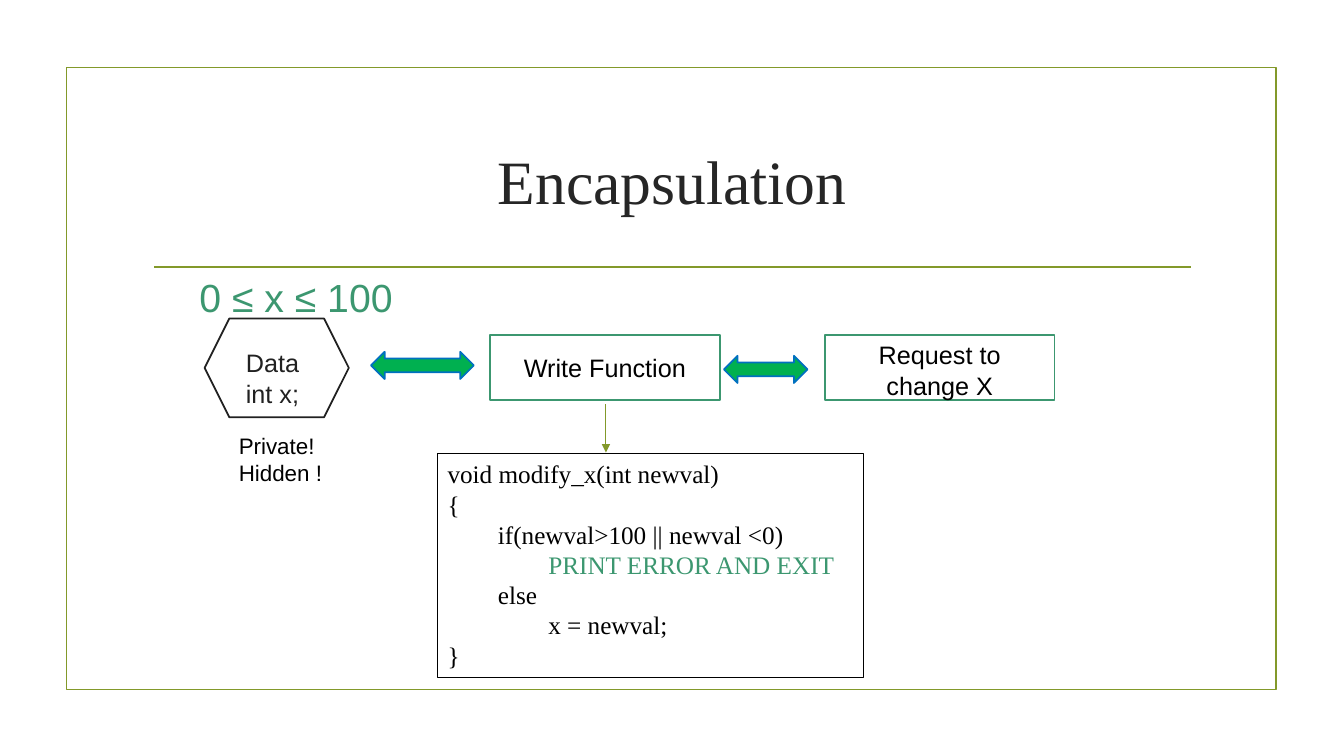
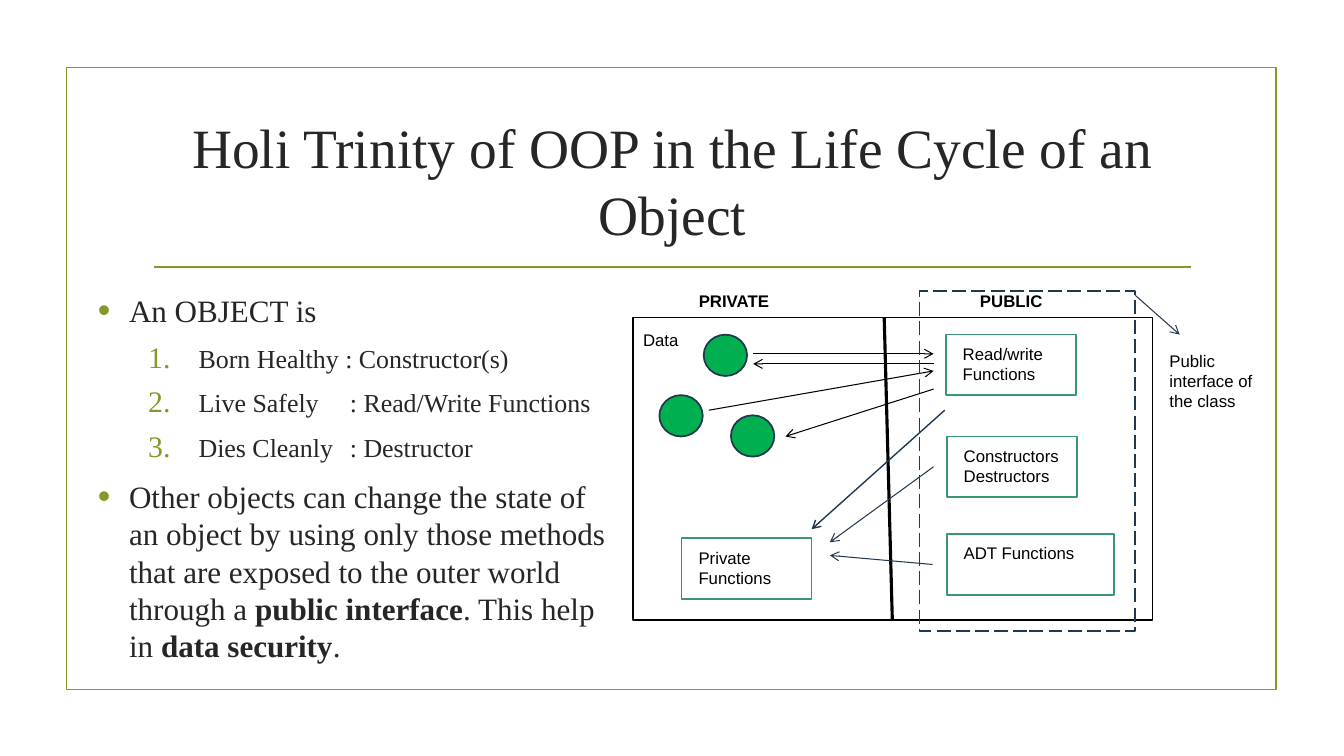
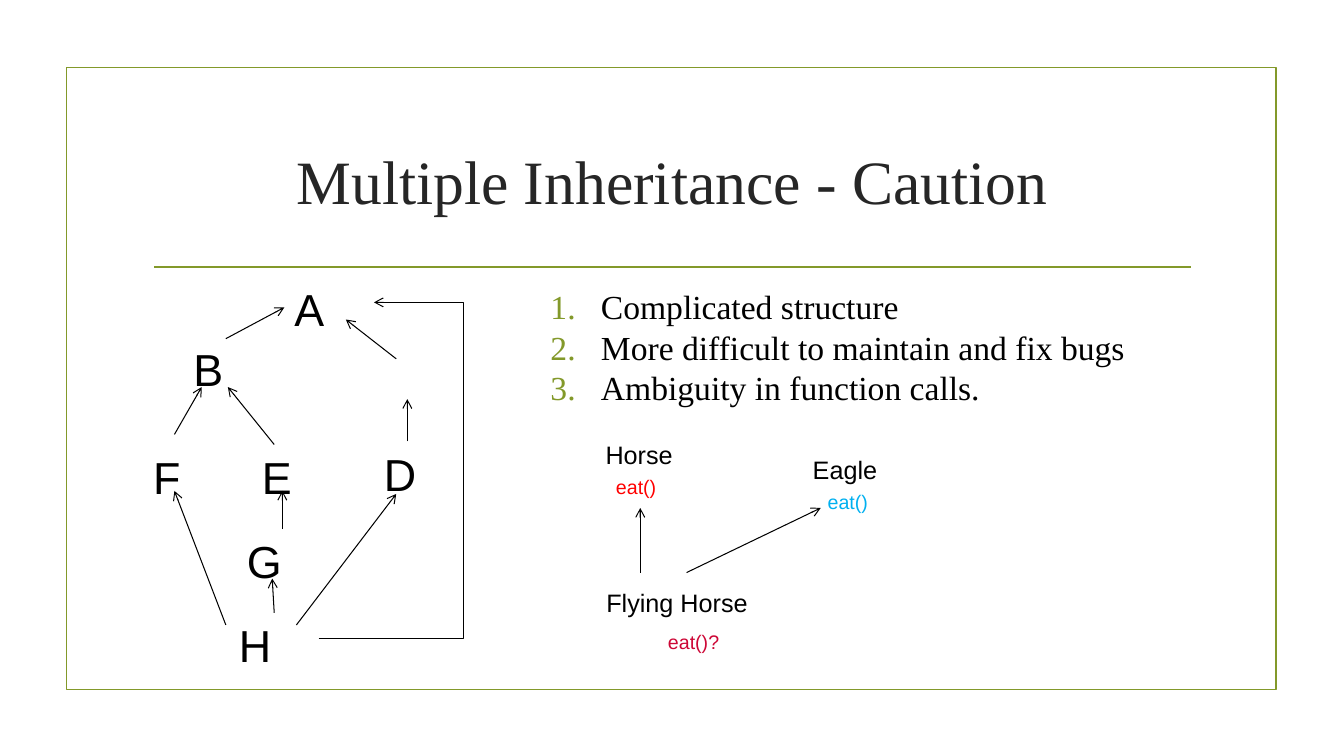
from dataclasses import dataclass
from typing import NamedTuple

from lxml import etree
from pptx import Presentation
from pptx.dml.color import RGBColor
from pptx.enum.dml import MSO_LINE
from pptx.enum.shapes import MSO_CONNECTOR, MSO_SHAPE
from pptx.enum.text import MSO_ANCHOR, MSO_AUTO_SIZE, PP_ALIGN
from pptx.oxml.ns import qn
from pptx.util import Pt

RECTANGLE, OVAL = MSO_SHAPE.RECTANGLE, MSO_SHAPE.OVAL
HEXAGON, DOUBLE_ARROW = MSO_SHAPE.HEXAGON, MSO_SHAPE.LEFT_RIGHT_ARROW
STRAIGHT, LONG_DASH = MSO_CONNECTOR.STRAIGHT, MSO_LINE.LONG_DASH
LEFT, CENTER = PP_ALIGN.LEFT, PP_ALIGN.CENTER
TOP, MIDDLE = MSO_ANCHOR.TOP, MSO_ANCHOR.MIDDLE
NO_FIT = MSO_AUTO_SIZE.NONE

SCALE = 9144  # EMU in one px, 100 px to the inch
SANS, SERIF = "Arial", "Times New Roman"
COLORS = {
    "olive": "83992A",
    "title": "262626",
    "dark": "212121",
    "black": "000000",
    "teal": "3C9770",
    "green": "00B050",
    "blue": "0070C0",
    "navy": "22384E",
    "red": "FF0000",
    "sky": "00B0F0",
    "crimson": "CD0736",
}


class Box(NamedTuple):
    left: int
    top: int
    width: int
    height: int


class Line(NamedTuple):
    x1: int
    y1: int
    x2: int
    y2: int


class Span(NamedTuple):
    text: str
    bold: bool = False
    color: str = ""


@dataclass
class Para:
    spans: list[Span]
    margin: int = 0
    hanging: int = 0
    bullet: str = ""  # "dot" or "number"
    bullet_percent: int = 100
    level: int = 0
    size: float = 0
    before: float | None = None
    after: float | None = None


@dataclass
class Style:
    size: float
    color: str = "black"
    font: str = SANS
    align: PP_ALIGN = LEFT
    bold: bool = False
    anchor: MSO_ANCHOR = TOP


def px(value: int) -> int:
    return value * SCALE


def rgb(name: str) -> RGBColor:
    return RGBColor.from_string(COLORS[name])


def plain(*lines: str) -> list[Para]:
    return [Para([Span(line)]) for line in lines]


# ---- text ----
def add_bullet(para, item: Para) -> None:
    properties = para._p.get_or_add_pPr()
    properties.set("marL", str(px(item.margin)))
    properties.set("indent", str(-px(item.hanging)))
    if not item.bullet:
        return
    color = etree.SubElement(properties, qn("a:buClr"))
    etree.SubElement(color, qn("a:srgbClr"), val=COLORS["olive"])
    etree.SubElement(properties, qn("a:buSzPct"), val=str(item.bullet_percent * 1000))
    font = SANS if item.bullet == "dot" else SERIF
    etree.SubElement(properties, qn("a:buFont"), typeface=font)
    if item.bullet == "dot":
        etree.SubElement(properties, qn("a:buChar"), char="•")
    else:
        etree.SubElement(properties, qn("a:buAutoNum"), type="arabicPeriod")


def write(shape, paras: list[Para], style: Style) -> None:
    frame = shape.text_frame
    frame.word_wrap = True
    frame.auto_size = NO_FIT
    frame.vertical_anchor = style.anchor
    for index, item in enumerate(paras):
        para = frame.add_paragraph() if index else frame.paragraphs[0]
        para.alignment = style.align
        para.level = item.level
        if item.before is not None:
            para.space_before = Pt(item.before)
        if item.after is not None:
            para.space_after = Pt(item.after)
        add_bullet(para, item)
        for part in item.spans:
            span = para.add_run()
            span.text = part.text
            span.font.name = style.font
            span.font.size = Pt(item.size or style.size)
            span.font.bold = part.bold or style.bold
            span.font.color.rgb = rgb(part.color or style.color)


def add_text(page, box: Box, paras: list[Para], style: Style):
    label = page.shapes.add_textbox(*map(px, box))
    write(label, paras, style)
    return label


def fill_placeholder(holder, box: Box, paras: list[Para], style: Style) -> None:
    holder.left, holder.top, holder.width, holder.height = map(px, box)
    write(holder, paras, style)


# ---- shapes and lines ----
def set_line(shape, color: str, width: float) -> None:
    shape.line.color.rgb = rgb(color)
    shape.line.width = Pt(width)


def add_head(shape, kind: str) -> None:
    outline = shape.element.spPr.find(qn("a:ln"))
    etree.SubElement(outline, qn("a:tailEnd"), type=kind)


def add_shape(page, kind: MSO_SHAPE, box: Box, line: str, fill: str = "", width: float = 1.25):
    shape = page.shapes.add_shape(kind, *map(px, box))
    shape.shadow.inherit = False
    if fill:
        shape.fill.solid()
        shape.fill.fore_color.rgb = rgb(fill)
    else:
        shape.fill.background()
    set_line(shape, line, width)
    return shape


def add_line(page, ends: Line, color: str = "black", width: float = 0.75, head: str = "arrow"):
    line = page.shapes.add_connector(STRAIGHT, *map(px, ends))
    set_line(line, color, width)
    if head:
        add_head(line, head)
    etree.SubElement(line.element.spPr, qn("a:effectLst"))
    return line


# ---- shared by all slides ----
def add_page(deck, layout: int, title: str, size: float = 44):
    page = deck.slides.add_slide(deck.slide_layouts[layout])
    style = Style(size, "title", SERIF, CENTER, anchor=MIDDLE)
    fill_placeholder(page.shapes.title, Box(142, 107, 1050, 143), plain(title), style)
    return page


def decorate_master(deck, page) -> None:
    """Draw the frame and title rule, then hand them to the master."""
    frame = add_shape(page, RECTANGLE, Box(66, 67, 1200, 617), "olive")
    rule = add_line(page, Line(153, 265, 1181, 265), "olive", 1.25, "")
    for part in (frame, rule):
        deck.slide_master.shapes.element.append(part.element)


# ---- slide 1 ----
def draw_encapsulation(deck) -> None:
    page = add_page(deck, 5, "Encapsulation")
    decorate_master(deck, page)
    add_text(page, Box(188, 266, 307, 40), plain("0 ≤ x ≤ 100"), Style(28, "teal"))
    add_shape(page, HEXAGON, Box(203, 316, 143, 98), "dark")
    add_text(page, Box(234, 340, 108, 74), plain("Data", "int x;"), Style(18, "dark"))
    add_text(page, Box(227, 424, 119, 44), plain("Private!", "Hidden !"), Style(16))

    for box in (Box(368, 349, 102, 27), Box(718, 353, 83, 27)):
        add_shape(page, DOUBLE_ARROW, box, "blue", "green")
    for left, text_top, text in ((486, 345, "Write Function"), (818, 332, "Request to change X")):
        add_shape(page, RECTANGLE, Box(left, 332, 228, 65), "teal")
        add_text(page, Box(left, text_top, 228, 71), plain(text), Style(18, align=CENTER))

    # Code listing, indented by tab depth
    code = (
        (0, "void modify_x(int newval)", ""),
        (0, "{", ""),
        (1, "if(newval>100 || newval <0)", ""),
        (2, "PRINT ERROR AND EXIT", "teal"),
        (1, "else", ""),
        (2, "x = newval;", ""),
        (0, "}", ""),
    )
    lines = [Para([Span(text, color=color)], margin=50 * depth) for depth, text, color in code]
    listing = add_text(page, Box(434, 450, 422, 222), lines, Style(18, font=SERIF))
    set_line(listing, "black", 0.75)
    add_line(page, Line(601, 401, 601, 449), "olive", head="triangle")


# ---- slide 2 ----
def draw_life_cycle(deck) -> None:
    page = add_page(deck, 1, "Holi Trinity of OOP in the Life Cycle of an Object", 39.6)

    def point(*spans: Span) -> Para:
        return Para(list(spans), 31, 31, "dot", 115, after=6)

    def step(text: str) -> Para:
        return Para([Span(text)], 100, 50, "number", 115, level=1, size=18.5, after=6)

    points = [
        point(Span("An OBJECT is")),
        step("Born Healthy : Constructor(s)"),
        step("Live Safely\t: Read/Write Functions"),
        step("Dies Cleanly\t: Destructor"),
        point(
            Span(
                "Other objects can change the state of an object by using only those "
                "methods that are exposed to the outer world through a "
            ),
            Span("public interface", True),
            Span(". This help in "),
            Span("data security", True),
            Span("."),
        ),
    ]
    body = Style(22.2, "title", SERIF)
    fill_placeholder(page.placeholders[1], Box(87, 284, 527, 363), points, body)

    # Class outline, divider and data members
    add_shape(page, RECTANGLE, Box(628, 315, 515, 300), "black")
    add_line(page, Line(877, 315, 885, 615), width=2.25, head="")
    for left, top in ((698, 332), (654, 392), (725, 412)):
        add_shape(page, OVAL, Box(left, top, 43, 41), "navy", "green")

    # Function boxes
    functions = (
        (Box(938, 332, 129, 60), ("Read/write", "Functions")),
        (Box(939, 433, 129, 60), ("Constructors", "Destructors")),
        (Box(939, 530, 166, 60), ("ADT Functions",)),
        (Box(676, 534, 129, 60), ("Private Functions",)),
    )
    small = Style(12)
    for box, names in functions:
        add_shape(page, RECTANGLE, box, "teal")
        label = Box(box.left + 7, box.top + 4, box.width - 13, 50)
        add_text(page, label, plain(*names), small)

    # Headings and labels
    heading = Style(12, align=CENTER, bold=True)
    for left, text in ((663, "PRIVATE"), (938, "PUBLIC")):
        add_text(page, Box(left, 284, 130, 30), plain(text), heading)
    add_text(page, Box(628, 322, 130, 30), plain("Data"), small)
    add_text(page, Box(1150, 343, 104, 71), plain("Public interface of the class"), small)

    # Data access and calls to private functions
    for ends in (
        Line(747, 351, 926, 351),
        Line(926, 361, 747, 361),
        Line(703, 407, 926, 368),
        Line(926, 386, 779, 433),
    ):
        add_line(page, ends)
    add_line(page, Line(937, 407, 805, 525), "navy", 1)
    for ends in (
        Line(926, 463, 823, 538),
        Line(925, 560, 823, 551),
        Line(1126, 293, 1170, 332),
    ):
        add_line(page, ends, "navy")
    interface = add_shape(page, RECTANGLE, Box(912, 289, 214, 337), "navy")
    interface.line.dash_style = LONG_DASH


# ---- slide 3 ----
def draw_inheritance(deck) -> None:
    page = add_page(deck, 1, "Multiple Inheritance - Caution")
    cautions = (
        "Complicated structure",
        "More difficult to maintain and fix bugs",
        "Ambiguity in function calls.",
    )
    points = [Para([Span(text)], 50, 50, "number", before=0, after=0) for text in cautions]
    body = Style(24, font=SERIF)
    fill_placeholder(page.placeholders[1], Box(536, 279, 640, 131), points, body)

    # Class graph
    classes = {
        "A": (282, 275),
        "B": (182, 334),
        "D": (371, 438),
        "E": (250, 441),
        "F": (142, 441),
        "G": (235, 525),
        "H": (227, 608),
    }
    for name, (left, top) in classes.items():
        add_text(page, Box(left, top, 89, 49), plain(name), Style(32))
    for ends in (
        Line(224, 336, 282, 305),
        Line(173, 431, 200, 384),
        Line(272, 441, 226, 384),
        Line(280, 525, 280, 487),
        Line(272, 608, 270, 574),
        Line(224, 620, 173, 487),
        Line(294, 620, 393, 490),
        Line(404, 438, 404, 396),
        Line(393, 356, 343, 317),
        Line(635, 568, 635, 504),
        Line(681, 568, 814, 504),
    ):
        add_line(page, ends)

    # Elbow from H round to A
    builder = page.shapes.build_freeform(px(316), px(633))
    corners = ((460, 633), (460, 300), (371, 300))
    builder.add_line_segments([(px(x), px(y)) for x, y in corners], close=False)
    elbow = builder.convert_to_shape()
    elbow.shadow.inherit = False
    elbow.fill.background()
    set_line(elbow, "black", 0.75)
    add_head(elbow, "arrow")

    # Ambiguous call example
    for box, text, size, color in (
        (Box(556, 431, 156, 40), "Horse", 18, "black"),
        (Box(752, 446, 172, 40), "Eagle", 18, "black"),
        (Box(556, 578, 231, 40), "Flying Horse", 18, "black"),
        (Box(553, 466, 156, 37), "eat()", 14, "red"),
        (Box(763, 481, 156, 37), "eat()", 14, "sky"),
        (Box(610, 620, 156, 37), "eat()?", 14, "crimson"),
    ):
        add_text(page, box, plain(text), Style(size, color, align=CENTER))


def main() -> None:
    deck = Presentation()
    deck.slide_width, deck.slide_height = px(1333), px(750)
    draw_encapsulation(deck)
    draw_life_cycle(deck)
    draw_inheritance(deck)
    deck.save("out.pptx")


if __name__ == "__main__":
    main()
